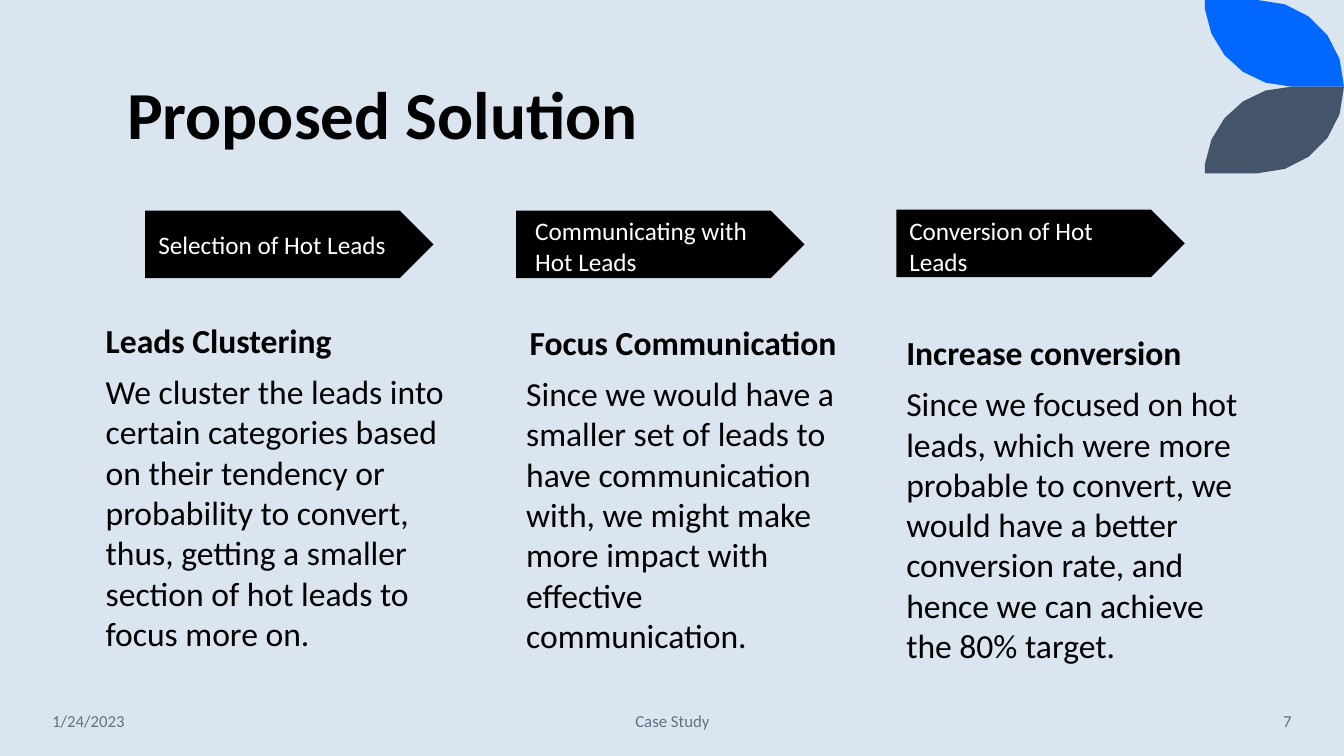
from pptx import Presentation
from pptx.dml.color import RGBColor
from pptx.enum.shapes import MSO_SHAPE
from pptx.enum.text import MSO_ANCHOR, MSO_AUTO_SIZE, PP_ALIGN
from pptx.util import Inches, Pt

FONT = "Calibri"
BLACK, WHITE, GREY = "000000", "FFFFFF", "637183"
LEAF_HEIGHT = 0.86

# Left and top of the arrows
ARROWS = [(1.44, 2.09), (5.12, 2.09), (8.89, 2.08)]

# Labels that lie over the second and third arrows
ARROW_LABELS = [
    ((5.21, 2.09, 2.39, 0.71), "Communicating with Hot Leads"),
    ((8.92, 2.09, 2.45, 0.71), "Conversion of Hot Leads"),
]

# Box position and size, heading, heading alignment, body
COLUMNS = [
    ((0.95, 3.12, 3.74, 3.41), "Leads Clustering", PP_ALIGN.LEFT,
     "We cluster the leads into certain categories based on their tendency or "
     "probability to convert, thus, getting a smaller section of hot leads to "
     "focus more on."),
    ((5.12, 3.14, 3.31, 3.85), "Focus Communication", PP_ALIGN.CENTER,
     "Since we would have a smaller set of leads to have communication with, "
     "we might make more impact with effective communication."),
    ((8.89, 3.24, 3.49, 3.85), "Increase conversion", PP_ALIGN.LEFT,
     "Since we focused on hot leads, which were more probable to convert, we "
     "would have a better conversion rate, and hence we can achieve the 80% "
     "target."),
]

FOOTERS = [
    ((0.42, 6.95, 1.86, 0.4), "1/24/2023", PP_ALIGN.LEFT),
    ((4.42, 6.95, 4.5, 0.4), "Case Study", PP_ALIGN.CENTER),
    ((11.1, 6.95, 1.81, 0.4), "7", PP_ALIGN.RIGHT),
]


def color(value):
    return RGBColor.from_string(value)


def paint(shape, value):
    shape.shadow.inherit = False
    shape.fill.solid()
    shape.fill.fore_color.rgb = color(value)
    shape.line.fill.background()


def write(paragraph, text, size=18, fill=BLACK, bold=False,
          align=PP_ALIGN.LEFT, space=0):
    paragraph.alignment = align
    paragraph.space_before = paragraph.space_after = Pt(space)
    run = paragraph.add_run()
    run.text = text
    run.font.name = FONT
    run.font.size = Pt(size)
    run.font.bold = bold
    run.font.color.rgb = color(fill)


def add_text_frame(slide, box, anchor=MSO_ANCHOR.TOP, auto_size=MSO_AUTO_SIZE.NONE):
    frame = slide.shapes.add_textbox(*map(Inches, box)).text_frame
    frame.word_wrap = True
    frame.vertical_anchor = anchor
    frame.auto_size = auto_size
    return frame


def curve(start, control_1, control_2, end, steps=5):
    """Points along a cubic Bezier curve."""
    points = []
    for step in range(steps + 1):
        t = step / steps
        weights = ((1 - t) ** 3, 3 * t * (1 - t) ** 2, 3 * t * t * (1 - t), t ** 3)
        points.append(tuple(
            sum(weight * value for weight, value in zip(weights, axis))
            for axis in zip(start, control_1, control_2, end)))
    return points


def add_leaf(slide, fill, mirrored=False):
    outline = [(11.95, 0)]
    outline += curve((12.47, 0), (12.95, 0), (13.33, 0.38), (13.33, LEAF_HEIGHT))
    outline += curve((12.81, LEAF_HEIGHT), (12.36, LEAF_HEIGHT), (12, 0.52), (11.95, 0.09))
    if mirrored:
        outline = [(x, 2 * LEAF_HEIGHT - y) for x, y in outline]
    points = [(Inches(x), Inches(y)) for x, y in outline]
    builder = slide.shapes.build_freeform(*points[0])
    builder.add_line_segments(points[1:], close=True)
    paint(builder.convert_to_shape(), fill)


def add_title(slide, text):
    title = slide.shapes.title
    title.left, title.top = Inches(1.16), Inches(0.73)
    title.width, title.height = Inches(10.69), Inches(0.85)
    frame = title.text_frame
    frame.auto_size = MSO_AUTO_SIZE.NONE
    frame.vertical_anchor = MSO_ANCHOR.BOTTOM
    paragraph = frame.paragraphs[0]
    paragraph.line_spacing = 0.9
    write(paragraph, text, size=48, bold=True)


def add_arrow(slide, left, top):
    arrow = slide.shapes.add_shape(
        MSO_SHAPE.PENTAGON, Inches(left), Inches(top), Inches(2.86), Inches(0.67))
    paint(arrow, BLACK)
    return arrow


def label_arrow(arrow, text):
    frame = arrow.text_frame
    frame.word_wrap = True
    frame.vertical_anchor = MSO_ANCHOR.MIDDLE
    frame.margin_left = frame.margin_right = Inches(0.13)
    frame.margin_top = frame.margin_bottom = Inches(0.13)
    write(frame.paragraphs[0], text, fill=WHITE)


def add_arrow_label(slide, box, text):
    frame = add_text_frame(slide, box, auto_size=MSO_AUTO_SIZE.SHAPE_TO_FIT_TEXT)
    write(frame.paragraphs[0], text, fill=WHITE)


def add_column(slide, box, heading, align, body):
    frame = add_text_frame(slide, box, auto_size=MSO_AUTO_SIZE.SHAPE_TO_FIT_TEXT)
    write(frame.paragraphs[0], heading, size=24, bold=True, align=align)
    write(frame.add_paragraph(), body, size=24, space=8)


def add_footer(slide, box, text, align):
    frame = add_text_frame(slide, box, MSO_ANCHOR.MIDDLE)
    write(frame.paragraphs[0], text, size=12, fill=GREY, align=align)


def main():
    presentation = Presentation()
    presentation.slide_width = Inches(13.33)
    presentation.slide_height = Inches(7.5)
    slide = presentation.slides.add_slide(presentation.slide_layouts[5])
    slide.background.fill.solid()
    slide.background.fill.fore_color.rgb = color("DAE5EF")

    # Corner leaves
    add_leaf(slide, "0068FF")
    add_leaf(slide, "44546A", mirrored=True)

    # Title and footer line
    add_title(slide, "Proposed Solution")
    for footer in FOOTERS:
        add_footer(slide, *footer)

    # Process arrows and their labels
    arrows = [add_arrow(slide, *position) for position in ARROWS]
    label_arrow(arrows[0], "Selection of Hot Leads")
    for label in ARROW_LABELS:
        add_arrow_label(slide, *label)

    # Explanations below the arrows
    for column in COLUMNS:
        add_column(slide, *column)

    presentation.save("out.pptx")


if __name__ == "__main__":
    main()
